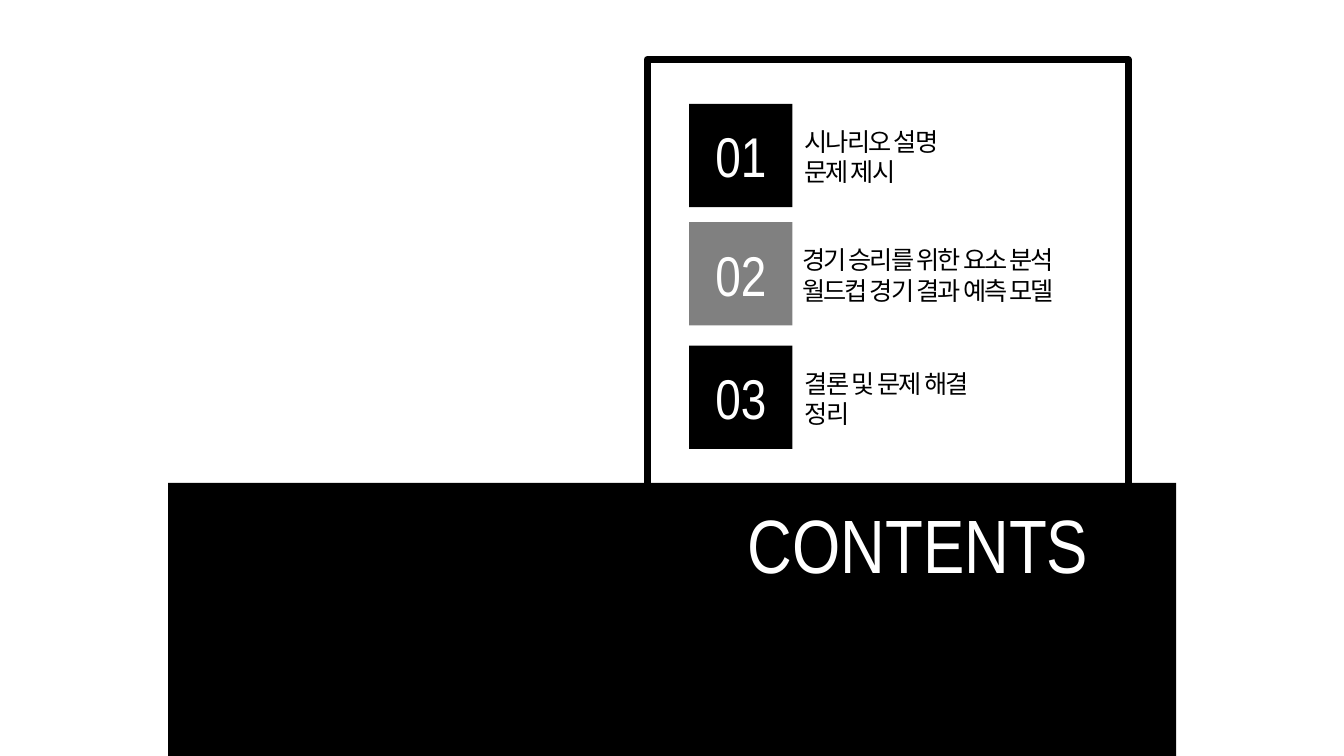
import pptx
import pptx.dml.color
import pptx.enum.shapes
import pptx.enum.text
import pptx.oxml
import pptx.oxml.ns
import pptx.util
from pptx.util import Cm

COLOURS = {"black": "000000", "grey": "808080", "white": "FFFFFF"}
LATIN_FONT = "Arial Narrow"
KOREAN_FONT = "Noto Sans CJK KR"
NUMBER_SIZE = 2.6
SECTIONS = [
    ("01", "black", 2.62, 20.02, -130, ["시나리오 설명", "문제 제시"]),
    ("02", "grey", 5.6, 19.96, -130,
     ["경기 승리를 위한 요소 분석", "월드컵 경기 결과 예측 모델"]),
    ("03", "black", 8.71, 20.02, -120, ["결론 및 문제 해결", "정리"]),
]


def rgb(colour):
    """Return the named colour."""
    return pptx.dml.color.RGBColor.from_string(COLOURS[colour])


def style_font(font, name, size, colour):
    """Set typeface, size in points and colour."""
    font.name = name
    font.size = pptx.util.Pt(size)
    font.bold = False
    font.color.rgb = rgb(colour)


def place(shape, left, top, width, height):
    """Move and size a shape in centimetres."""
    shape.left, shape.top = Cm(left), Cm(top)
    shape.width, shape.height = Cm(width), Cm(height)


def add_rectangle(slide, left, top, width, height, fill=None, line=None):
    """Add a flat rectangle with an optional fill or 5 pt outline."""
    rectangle = slide.shapes.add_shape(
        pptx.enum.shapes.MSO_SHAPE.RECTANGLE,
        Cm(left), Cm(top), Cm(width), Cm(height))
    rectangle.shadow.inherit = False
    if fill:
        rectangle.fill.solid()
        rectangle.fill.fore_color.rgb = rgb(fill)
    else:
        rectangle.fill.background()
    if line:
        rectangle.line.color.rgb = rgb(line)
        rectangle.line.width = pptx.util.Pt(5)
    else:
        rectangle.line.fill.background()
    return rectangle


def add_number(slide, number, colour, top):
    """Add a square carrying a section number."""
    square = add_rectangle(slide, 17.37, top, NUMBER_SIZE, NUMBER_SIZE, fill=colour)
    square.text_frame.text = number
    square.text_frame.vertical_anchor = pptx.enum.text.MSO_ANCHOR.MIDDLE
    paragraph = square.text_frame.paragraphs[0]
    paragraph.alignment = pptx.enum.text.PP_ALIGN.CENTER
    style_font(paragraph.font, LATIN_FONT, 40, "white")


def fill_topics(body, left, top, spacing, topics):
    """Fill a body placeholder with the topics of one section."""
    place(body, left, top, 8.05, 1.8)
    frame = body.text_frame
    frame.text = "\n".join(topics)
    frame.word_wrap = True
    frame.auto_size = pptx.enum.text.MSO_AUTO_SIZE.SHAPE_TO_FIT_TEXT
    frame.vertical_anchor = pptx.enum.text.MSO_ANCHOR.TOP
    for paragraph in frame.paragraphs:
        properties = paragraph._p.get_or_add_pPr()
        properties.set("marL", "0")
        properties.set("indent", "0")
        pptx.oxml.xmlchemy.OxmlElement("a:buNone")
        properties.append(pptx.oxml.xmlchemy.OxmlElement("a:buNone"))
        paragraph.space_before = pptx.util.Pt(0)
        style_font(paragraph.font, KOREAN_FONT, 18, "black")
        character = properties.find(pptx.oxml.ns.qn("a:defRPr"))
        character.set("spc", str(spacing))
        east_asian = pptx.oxml.xmlchemy.OxmlElement("a:ea")
        east_asian.set("typeface", KOREAN_FONT)
        character.append(east_asian)


def fill_title(slide):
    """Put the heading on top of the black band."""
    heading = slide.shapes.title
    place(heading, 18.59, 12.42, 10.77, 2.57)
    slide.shapes._spTree.append(heading._element)
    heading.text_frame.text = "CONTENTS"
    heading.text_frame.vertical_anchor = pptx.enum.text.MSO_ANCHOR.TOP
    paragraph = heading.text_frame.paragraphs[0]
    paragraph.alignment = pptx.enum.text.PP_ALIGN.LEFT
    style_font(paragraph.font, LATIN_FONT, 54, "white")


def main():
    """Build the contents slide."""
    deck = pptx.Presentation()
    deck.slide_width, deck.slide_height = Cm(33.87), Cm(19.05)
    slide = deck.slides.add_slide(deck.slide_layouts.get_by_name("Comparison"))
    bodies = [body for body in slide.placeholders if body.placeholder_format.idx]
    add_rectangle(slide, 4.24, 12.17, 25.4, 6.88, fill="black")
    add_rectangle(slide, 16.31, 1.5, 12.12, 15.04, line="black")
    fill_title(slide)
    for body, (number, colour, top, left, spacing, topics) in zip(bodies, SECTIONS):
        add_number(slide, number, colour, top)
        fill_topics(body, left, top + 0.44, spacing, topics)
    spare = bodies[-1]._element
    spare.getparent().remove(spare)
    deck.save("out.pptx")


if __name__ == "__main__":
    main()
